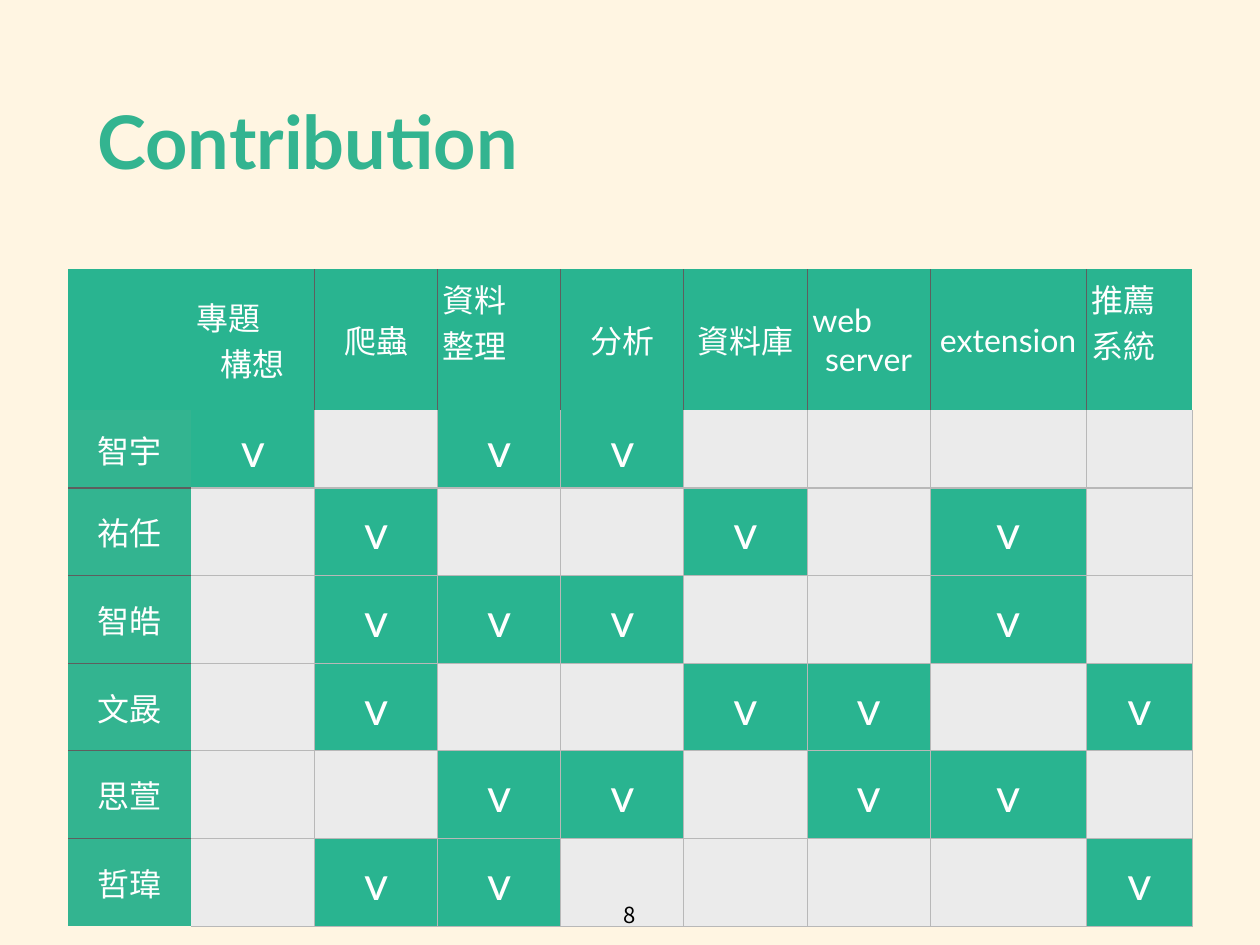
import dataclasses

import lxml.etree
import pptx
import pptx.dml.color
import pptx.enum.text
import pptx.oxml.ns
import pptx.util

Inches = pptx.util.Inches
Align = pptx.enum.text.PP_ALIGN
Anchor = pptx.enum.text.MSO_ANCHOR


@dataclasses.dataclass(frozen=True)
class Theme:
    """Colours, fonts and type sizes of the slide."""
    background: str = "FFF5E2"
    title: str = "33B490"
    member: str = "33B490"
    marked: str = "29B490"
    empty: str = "EBEBEB"
    white: str = "FFFFFF"
    black: str = "000000"
    dark_line: str = "5E5E5E"
    grey_line: str = "B8B8B8"
    latin: str = "Lato"
    asian: str = "Noto Sans CJK JP"
    title_size: int = 60
    label_size: int = 26
    mark_size: int = 38
    number_size: int = 18
    inset: float = 0.06


THEME = Theme()
TASKS = [
    ["專題", "構想"], ["爬蟲"], ["資料", "整理"], ["分析"], ["資料庫"],
    ["web", "server"], ["extension"], ["推薦", "系統"],
]
LEFT_TASKS = (3, 8)
MEMBERS = {
    "智宇": (1, 3, 4),
    "祐任": (2, 5, 7),
    "智皓": (2, 3, 4, 7),
    "文晸": (2, 5, 6, 8),
    "思萱": (3, 4, 6, 7),
    "哲瑋": (2, 3, 8),
}
COLUMN_WIDTHS = [1.39] * 7 + [1.76, 1.2]
ROW_HEIGHTS = [1.59, 0.88] + [0.99] * 5


def color(value):
    """Turn a hex value into a colour."""
    return pptx.dml.color.RGBColor.from_string(value)


def add_text(para, text, size, shade, align, latin=THEME.latin, bold=False):
    """Add one formatted run to a paragraph."""
    para.alignment = align
    span = para.add_run()
    span.text = text
    span.font.size = pptx.util.Pt(size)
    span.font.name = latin
    span.font.bold = bold
    span.font.color.rgb = color(shade)
    asian = lxml.etree.SubElement(span.font._element, pptx.oxml.ns.qn("a:ea"))
    asian.set("typeface", THEME.asian)


def set_insets(box):
    """Give a text frame or cell the common margins."""
    box.margin_left = box.margin_right = Inches(THEME.inset)
    box.margin_top = box.margin_bottom = Inches(THEME.inset)


def right_line(row, column):
    """Return the colour of the line to the right of a cell, if any."""
    if column < 1:
        return None
    if row == 0:
        return THEME.dark_line if column < len(TASKS) else None
    return THEME.grey_line


def bottom_line(row, column):
    """Return the colour of the line below a cell, if any."""
    if row < 1:
        return None
    if column == 0:
        return THEME.dark_line if row < len(MEMBERS) else None
    return THEME.grey_line


def style_cell(cell, row, column, fill):
    """Set the borders, fill, margins and anchor of a cell."""
    properties = cell._tc.get_or_add_tcPr()
    borders = {
        "a:lnL": right_line(row, column - 1),
        "a:lnR": right_line(row, column),
        "a:lnT": bottom_line(row - 1, column),
        "a:lnB": bottom_line(row, column),
    }
    for tag, shade in borders.items():
        line = lxml.etree.SubElement(properties, pptx.oxml.ns.qn(tag))
        if shade is None:
            lxml.etree.SubElement(line, pptx.oxml.ns.qn("a:noFill"))
        else:
            line.set("w", str(pptx.util.Pt(1)))
            solid = lxml.etree.SubElement(line, pptx.oxml.ns.qn("a:solidFill"))
            lxml.etree.SubElement(solid, pptx.oxml.ns.qn("a:srgbClr")).set("val", shade)
    cell.fill.solid()
    cell.fill.fore_color.rgb = color(fill)
    cell.vertical_anchor = Anchor.MIDDLE
    set_insets(cell)


def fill_task(cell, lines, raised):
    """Write a task heading whose first lines are left aligned."""
    for index, text in enumerate(lines):
        frame = cell.text_frame
        para = frame.add_paragraph() if index else frame.paragraphs[0]
        is_last = index == len(lines) - 1
        align = Align.CENTER if is_last and not raised else Align.LEFT
        add_text(para, text, THEME.label_size, THEME.white, align)
    if raised:
        cell.margin_bottom = Inches(THEME.inset + 0.41)


def add_title(page, left, top, width, height):
    """Place and format the slide title."""
    title = page.shapes.title
    title.left, title.top = Inches(left), Inches(top)
    title.width, title.height = Inches(width), Inches(height)
    frame = title.text_frame
    frame.vertical_anchor = Anchor.MIDDLE
    set_insets(frame)
    para = frame.paragraphs[0]
    para.line_spacing = 0.8
    add_text(para, "Contribution", THEME.title_size, THEME.title, Align.LEFT, bold=True)


def add_contributions(page, left, top):
    """Add the table of members and their tasks."""
    frame = page.shapes.add_table(
        len(ROW_HEIGHTS), len(COLUMN_WIDTHS), Inches(left), Inches(top),
        Inches(sum(COLUMN_WIDTHS)), Inches(sum(ROW_HEIGHTS)))
    table = frame.table
    table.first_row = table.horz_banding = False
    for column, width in zip(table.columns, COLUMN_WIDTHS):
        column.width = Inches(width)
    for row, height in zip(table.rows, ROW_HEIGHTS):
        row.height = Inches(height)
    style_cell(table.cell(0, 0), 0, 0, THEME.marked)
    for column, lines in enumerate(TASKS, 1):
        cell = table.cell(0, column)
        style_cell(cell, 0, column, THEME.marked)
        fill_task(cell, lines, column in LEFT_TASKS)
    for row, (name, marks) in enumerate(MEMBERS.items(), 1):
        member = table.cell(row, 0)
        style_cell(member, row, 0, THEME.member)
        add_text(member.text_frame.paragraphs[0], name,
                 THEME.label_size, THEME.white, Align.CENTER)
        for column in range(1, len(COLUMN_WIDTHS)):
            cell = table.cell(row, column)
            style_cell(cell, row, column, THEME.marked if column in marks else THEME.empty)
            if column in marks:
                add_text(cell.text_frame.paragraphs[0], "v",
                         THEME.mark_size, THEME.white, Align.CENTER)


def add_page_number(page, left, top, width, height):
    """Add the page number."""
    box = page.shapes.add_textbox(Inches(left), Inches(top), Inches(width), Inches(height))
    frame = box.text_frame
    frame.word_wrap = False
    set_insets(frame)
    add_text(frame.paragraphs[0], "8", THEME.number_size, THEME.black,
             Align.CENTER, THEME.asian)


def main():
    """Build and save the deck."""
    deck = pptx.Presentation()
    deck.slide_width, deck.slide_height = Inches(14.22), Inches(10.67)
    page = deck.slides.add_slide(deck.slide_layouts[5])
    page.background.fill.solid()
    page.background.fill.fore_color.rgb = color(THEME.background)
    add_title(page, 1.04, 0.49, 12.14, 2.36)
    add_contributions(page, 0.77, 3.04)
    add_page_number(page, 6.96, 10.12, 0.29, 0.36)
    deck.save("out.pptx")


if __name__ == "__main__":
    main()
